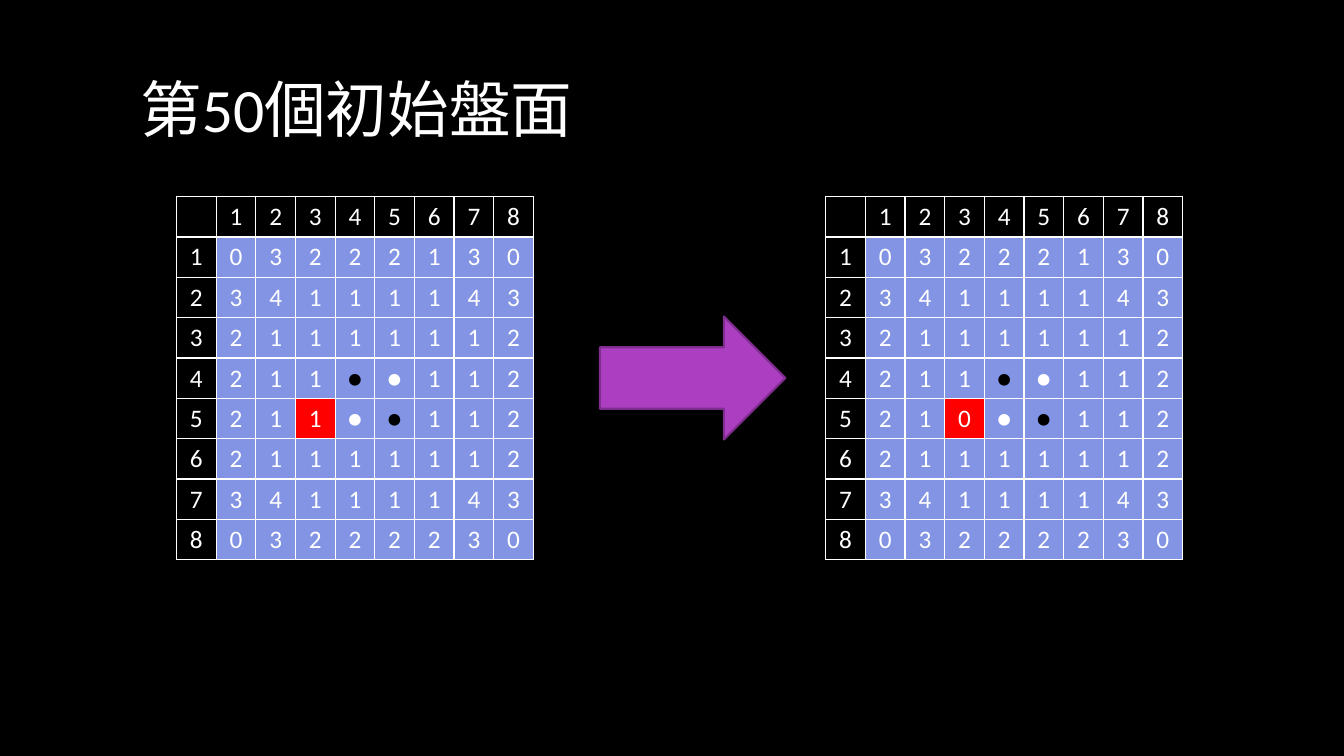
from dataclasses import dataclass

from lxml.etree import SubElement
from pptx import Presentation
from pptx.dml.color import RGBColor
from pptx.enum.shapes import MSO_SHAPE
from pptx.enum.text import MSO_ANCHOR, MSO_AUTO_SIZE, PP_ALIGN
from pptx.oxml.ns import qn
from pptx.util import Inches, Pt


@dataclass(frozen=True)
class Theme:
    """Colours, font and type sizes of the slide."""
    black: str = "000000"
    white: str = "FFFFFF"
    square: str = "8394E4"
    changed: str = "FF0000"
    arrow: str = "AC3EC1"
    arrow_edge: str = "7F2E8F"
    font: str = "Calibri"
    title_size: int = 44
    cell_size: int = 18
    border: float = 1
    arrow_border: float = 1.5


THEME = Theme()
SLIDE_SIZE = (Inches(13.33), Inches(7.5))
BOARD_SIZE = 8
DISC = "●"
DISC_COLOURS = {"B": THEME.black, "W": THEME.white}
CHANGED_SQUARE = (5, 3)
BOARD_ROWS = (
    "03222130",
    "34111143",
    "21111112",
    "211BW112",
    "211WB112",
    "21111112",
    "34111143",
    "03222230",
)


def place(left, top, width, height):
    """Turn percentages of the slide into a left, top, width and height."""
    wide, high = SLIDE_SIZE
    shares = ((left, wide), (top, high), (width, wide), (height, high))
    return [round(share * full / 100) for share, full in shares]


def apply(target, values):
    """Set every named attribute on the target."""
    for name, value in values.items():
        setattr(target, name, value)


def paint(fill, colour):
    """Give a solid fill."""
    fill.solid()
    fill.fore_color.rgb = RGBColor.from_string(colour)


def write(frame, text, size, colour=THEME.white, align=PP_ALIGN.LEFT):
    """Write one formatted paragraph in a text frame."""
    para = frame.paragraphs[0]
    para.alignment = align
    span = para.add_run()
    span.text = text
    apply(span.font, {"name": THEME.font, "size": Pt(size), "bold": False})
    span.font.color.rgb = RGBColor.from_string(colour)


def add_title(slide, text, area):
    """Move the title placeholder and fill it in."""
    title = slide.shapes.title
    apply(title, dict(zip(("left", "top", "width", "height"), area)))
    apply(title.text_frame, {
        "word_wrap": True,
        "auto_size": MSO_AUTO_SIZE.SHAPE_TO_FIT_TEXT,
        "vertical_anchor": MSO_ANCHOR.MIDDLE,
    })
    write(title.text_frame, text, THEME.title_size)


def outline_cell(cell):
    """Draw a thin line on the four sides of a cell."""
    properties = cell._tc.get_or_add_tcPr()
    for side in ("a:lnL", "a:lnR", "a:lnT", "a:lnB"):
        line = SubElement(properties, qn(side), w=str(Pt(THEME.border)))
        solid = SubElement(line, qn("a:solidFill"))
        SubElement(solid, qn("a:srgbClr"), val=THEME.white)


def cell_text(row, column, changed_value):
    """Return the symbol of a cell, headings included."""
    if row and column:
        if (row, column) == CHANGED_SQUARE:
            return changed_value
        return BOARD_ROWS[row - 1][column - 1]
    return str(row or column or "")


def add_board(slide, area, changed_value):
    """Add a numbered board with its values and discs."""
    count = BOARD_SIZE + 1
    table = slide.shapes.add_table(count, count, *area).table
    apply(table, {"first_row": False, "horz_banding": False})
    for row in range(count):
        for column in range(count):
            cell = table.cell(row, column)
            outline_cell(cell)
            if (row, column) == CHANGED_SQUARE:
                paint(cell.fill, THEME.changed)
            elif row and column:
                paint(cell.fill, THEME.square)
            else:
                cell.fill.background()
            symbol = cell_text(row, column, changed_value)
            if symbol:
                write(cell.text_frame, DISC if symbol in DISC_COLOURS else symbol,
                      THEME.cell_size, DISC_COLOURS.get(symbol, THEME.white),
                      PP_ALIGN.CENTER)


def add_arrow(slide, area):
    """Add the block arrow between the boards."""
    arrow = slide.shapes.add_shape(MSO_SHAPE.RIGHT_ARROW, *area)
    arrow.shadow.inherit = False
    paint(arrow.fill, THEME.arrow)
    paint(arrow.line.fill, THEME.arrow_edge)
    arrow.line.width = Pt(THEME.arrow_border)


def main():
    """Build the slide and save the deck."""
    deck = Presentation()
    deck.slide_width, deck.slide_height = SLIDE_SIZE
    slide = deck.slides.add_slide(deck.slide_layouts.get_by_name("Title Only"))
    paint(slide.background.fill, THEME.black)
    add_title(slide, "第50個初始盤面", place(9.68, 8.67, 78.32, 11.2))
    for left, changed_value in ((13.13, "1"), (61.44, "0")):
        add_board(slide, place(left, 26, 26.56, 48), changed_value)
    add_arrow(slide, place(44.64, 41.87, 13.8, 16.27))
    deck.save("out.pptx")


if __name__ == "__main__":
    main()
